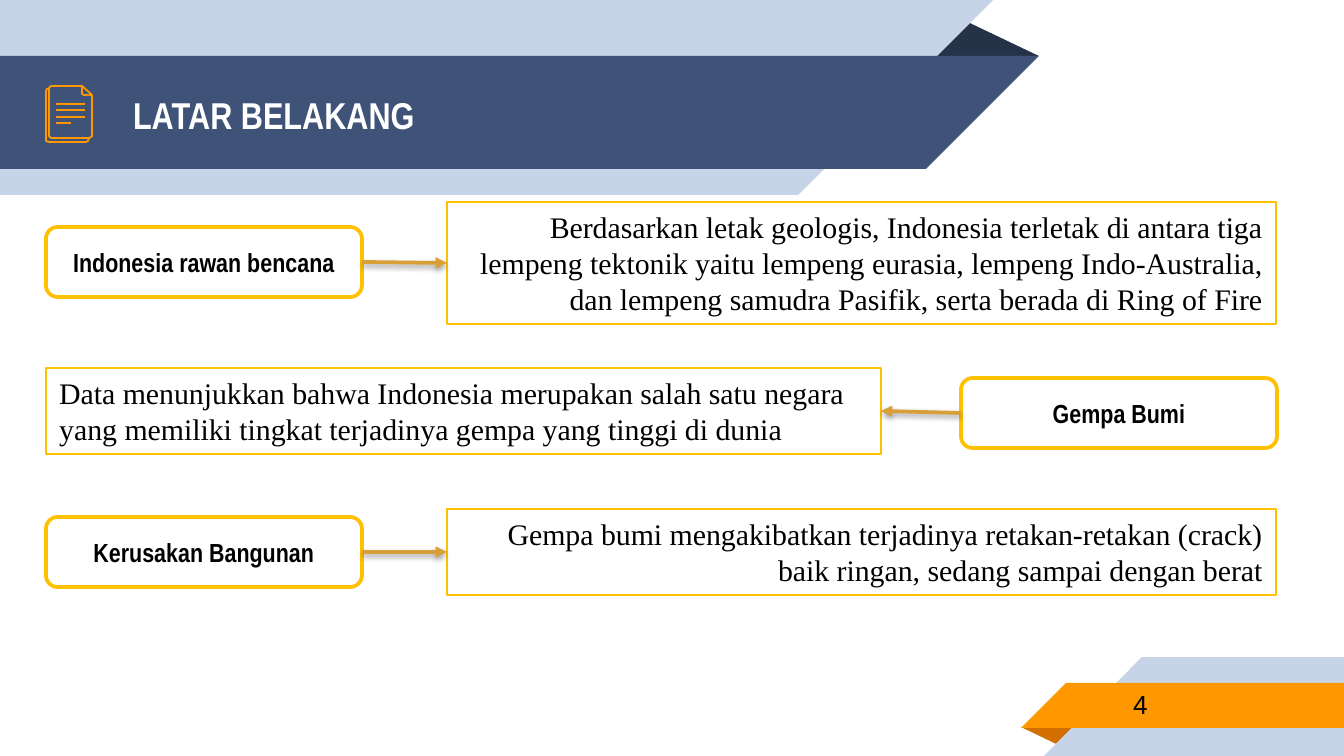
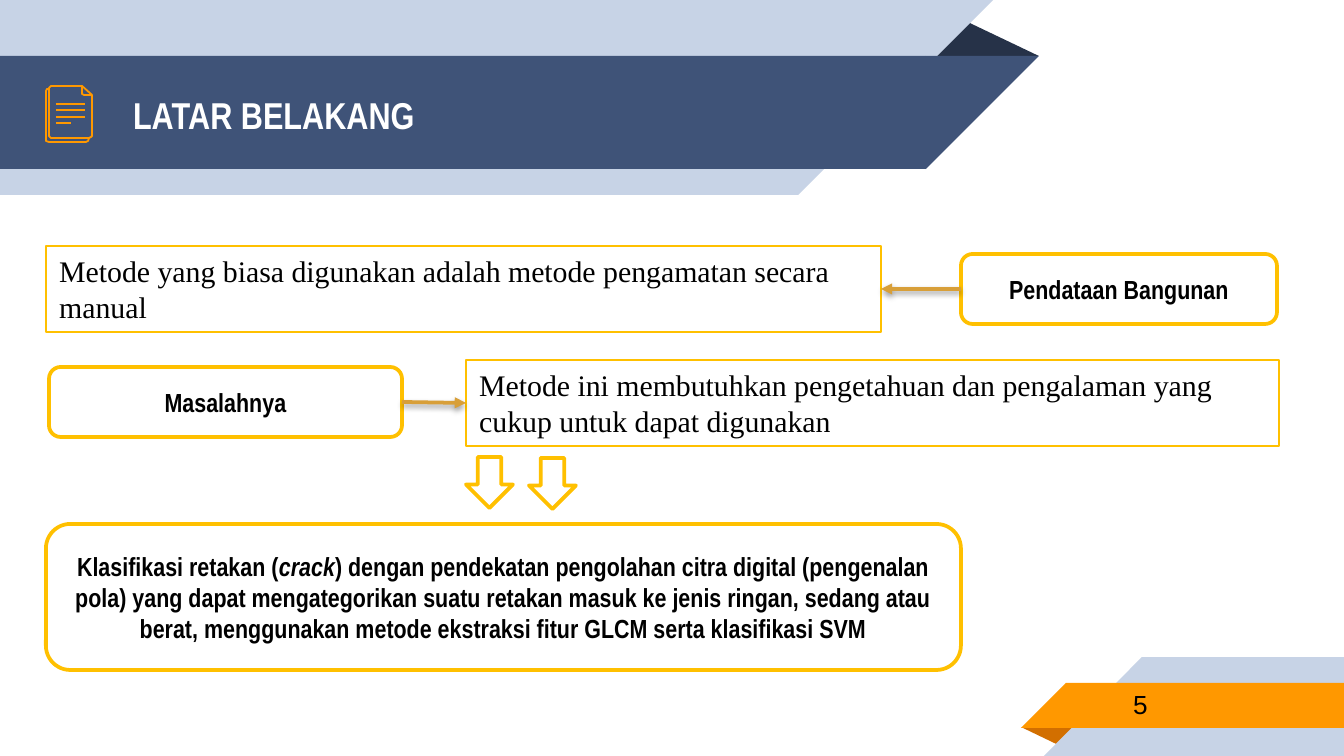
from dataclasses import dataclass

import pptx
import pptx.dml.color
import pptx.enum.shapes
import pptx.enum.text
import pptx.oxml
import pptx.oxml.ns
import pptx.util


@dataclass(frozen=True)
class Theme:
    pale: str = "C7D3E6"
    navy: str = "3F5378"
    dark: str = "263248"
    orange: str = "FF9800"
    rust: str = "D26F00"
    gold: str = "FFC000"
    arrow: str = "D89F39"
    white: str = "FFFFFF"
    black: str = "000000"
    icon_line: float = 0.96
    thin_line: float = 0.75
    thick_line: float = 2
    title_size: int = 20
    label_size: int = 14
    note_size: int = 16
    number_size: int = 14
    heading_font: str = "Arial Narrow"
    note_font: str = "Times New Roman"
    number_font: str = "Arial"


theme = Theme()
SLIDE_WIDTH, SLIDE_HEIGHT = 1344, 756
EMU_PER_PX = 9144000 / SLIDE_WIDTH
PRESET = pptx.enum.shapes.MSO_SHAPE
STRAIGHT = pptx.enum.shapes.MSO_CONNECTOR.STRAIGHT
ALIGN = pptx.enum.text.PP_ALIGN
ANCHOR = pptx.enum.text.MSO_ANCHOR
AUTO_SIZE = pptx.enum.text.MSO_AUTO_SIZE
RGB = pptx.dml.color.RGBColor.from_string
NAMESPACE = pptx.oxml.ns.nsdecls("a")


def px(*lengths):
    return [pptx.util.Emu(round(length * EMU_PER_PX)) for length in lengths]


def paint(shape, line, width, fill=None):
    shape.shadow.inherit = False
    if fill:
        shape.fill.solid()
        shape.fill.fore_color.rgb = RGB(fill)
    else:
        shape.fill.background()
    if line:
        shape.line.color.rgb = RGB(line)
        shape.line.width = pptx.util.Pt(width)
    else:
        shape.line.fill.background()


TEXT_STYLES = {
    "title": (theme.heading_font, theme.title_size, theme.white, True, ANCHOR.MIDDLE),
    "label": (theme.heading_font, theme.label_size, theme.black, True, ANCHOR.MIDDLE),
    "note": (theme.note_font, theme.note_size, theme.black, False, ANCHOR.TOP),
    "number": (theme.number_font, theme.number_size, theme.black, False, ANCHOR.MIDDLE),
}

HEADER_BANDS = [
    (PRESET.ISOSCELES_TRIANGLE, (925, 19, 114, 37), theme.dark, 0, False),
    (PRESET.RECTANGLE, (0, 0, 798, 195), theme.pale, 0, False),
    (PRESET.RIGHT_TRIANGLE, (798, 0, 195, 195), theme.pale, 180, True),
    (PRESET.RECTANGLE, (0, 56, 926, 113), theme.navy, 0, False),
    (PRESET.RIGHT_TRIANGLE, (926, 56, 113, 113), theme.navy, 180, True),
]
FOOTER_BANDS = [
    (PRESET.ISOSCELES_TRIANGLE, (1021, 727, 58, 19), theme.rust, 180, False),
    (PRESET.RECTANGLE, (1142, 657, 202, 99), theme.pale, 0, False),
    (PRESET.RIGHT_TRIANGLE, (1044, 657, 98, 99), theme.pale, 0, True),
    (PRESET.RECTANGLE, (1066, 683, 278, 45), theme.orange, 0, False),
    (PRESET.RIGHT_TRIANGLE, (1021, 683, 45, 45), theme.orange, 0, True),
]

ICON_OUTLINES = [
    ([(89, 138), (88, 141), (86, 142), (49, 142), (46, 141), (46, 138),
      (46, 91), (47, 89), (49, 89)], False),
    ([(92, 95), (92, 136), (91, 137), (89, 138), (51, 138), (50, 137),
      (49, 136), (49, 88), (50, 87), (51, 86), (82, 86)], False),
    ([(82, 94), (82, 86), (92, 95), (84, 95)], True),
]
ICON_RULES = [(104, 85), (110, 85), (117, 85), (123, 71)]

SLIDES = [
    {
        "number": 4,
        "rows": [
            ("Indonesia rawan bencana", (46, 227, 316, 70),
             "Berdasarkan letak geologis, Indonesia terletak di antara tiga lempeng "
             "tektonik yaitu lempeng eurasia, lempeng Indo-Australia, dan lempeng "
             "samudra Pasifik, serta berada di Ring of Fire",
             (447, 202, 829, 122), ALIGN.RIGHT),
            ("Gempa Bumi", (961, 378, 316, 70),
             "Data menunjukkan bahwa Indonesia merupakan salah satu negara yang "
             "memiliki tingkat terjadinya gempa yang tinggi di dunia",
             (46, 368, 835, 86), ALIGN.LEFT),
            ("Kerusakan Bangunan", (46, 517, 316, 70),
             "Gempa bumi mengakibatkan terjadinya retakan-retakan (crack) baik "
             "ringan, sedang sampai dengan berat",
             (447, 509, 829, 86), ALIGN.RIGHT),
        ],
        "down_arrows": [],
        "conclusion": [],
    },
    {
        "number": 5,
        "rows": [
            ("Pendataan Bangunan", (961, 254, 316, 70),
             "Metode yang biasa digunakan adalah metode pengamatan secara manual",
             (46, 246, 835, 86), ALIGN.LEFT),
            ("Masalahnya", (49, 367, 353, 70),
             "Metode ini membutuhkan pengetahuan dan pengalaman yang cukup untuk "
             "dapat digunakan",
             (466, 360, 813, 86), ALIGN.LEFT),
        ],
        "down_arrows": [(466, 457, 47, 51), (529, 458, 47, 51)],
        "conclusion": [
            "Klasifikasi retakan (",
            "crack",
            ") dengan pendekatan pengolahan citra digital (pengenalan pola) yang "
            "dapat mengategorikan suatu retakan masuk ke jenis ringan, sedang atau "
            "berat, menggunakan metode ekstraksi fitur GLCM serta klasifikasi SVM",
        ],
    },
]

presentation = pptx.Presentation()
presentation.slide_width, presentation.slide_height = px(SLIDE_WIDTH, SLIDE_HEIGHT)
layout = presentation.slide_layouts[5]
slides = [presentation.slides.add_slide(layout) for content in SLIDES]

for bands in (HEADER_BANDS, FOOTER_BANDS):
    group = slides[0].shapes.add_group_shape()
    for preset, box, color, rotation, flipped in bands:
        band = group.shapes.add_shape(preset, *px(*box))
        paint(band, None, 0, color)
        band.rotation = rotation
        if flipped:
            band.element.spPr.find(pptx.oxml.ns.qn("a:xfrm")).set("flipH", "1")
        if preset == PRESET.ISOSCELES_TRIANGLE:
            band.adjustments[0] = 0.32
    layout.shapes.element.append(group.element)
for index, properties in enumerate(
        layout.shapes.element.iter(pptx.oxml.ns.qn("p:cNvPr")), start=1):
    properties.set("id", str(index))

for slide, content in zip(slides, SLIDES):
    title = slide.shapes.title
    title.left, title.top, title.width, title.height = px(120, 58, 773, 113)
    texts = [(title, "title", ALIGN.LEFT, ["LATAR BELAKANG"])]

    icon = slide.shapes.add_group_shape()
    for points, closed in ICON_OUTLINES:
        builder = icon.shapes.build_freeform(*points[0], scale=EMU_PER_PX)
        builder.add_line_segments(points[1:], close=closed)
        paint(builder.convert_to_shape(), theme.orange, theme.icon_line)
    for top, right in ICON_RULES:
        rule = icon.shapes.add_connector(STRAIGHT, *px(56, top, right, top))
        rule.line.color.rgb = RGB(theme.orange)
        rule.line.width = pptx.util.Pt(theme.icon_line)
        rule.element.spPr.append(pptx.oxml.parse_xml(f"<a:effectLst {NAMESPACE}/>"))

    for label_text, label_box, note_text, note_box, alignment in content["rows"]:
        label = slide.shapes.add_shape(PRESET.ROUNDED_RECTANGLE, *px(*label_box))
        paint(label, theme.gold, theme.thick_line)
        note = slide.shapes.add_shape(PRESET.RECTANGLE, *px(*note_box))
        paint(note, theme.gold, theme.thin_line)
        texts.append((label, "label", ALIGN.CENTER, [label_text]))
        texts.append((note, "note", alignment, [note_text]))

        start_site, end_site = (3, 1) if label.left < note.left else (1, 3)
        arrow = slide.shapes.add_connector(STRAIGHT, 0, 0, 0, 0)
        arrow.begin_connect(label, start_site)
        arrow.end_connect(note, end_site)
        arrow.line.color.rgb = RGB(theme.arrow)
        arrow.line.width = pptx.util.Pt(theme.thick_line)
        arrow.line.fill.solid()
        arrow.line.color.rgb = RGB(theme.arrow)
        arrow.element.spPr.find(pptx.oxml.ns.qn("a:ln")).append(
            pptx.oxml.parse_xml(f'<a:tailEnd {NAMESPACE} type="triangle"/>'))
        arrow.element.spPr.append(pptx.oxml.parse_xml(
            f'<a:effectLst {NAMESPACE}><a:outerShdw blurRad="40000" dist="20000" '
            'dir="5400000" rotWithShape="0"><a:srgbClr val="000000">'
            '<a:alpha val="38000"/></a:srgbClr></a:outerShdw></a:effectLst>'))

    for box in content["down_arrows"]:
        paint(slide.shapes.add_shape(PRESET.DOWN_ARROW, *px(*box)),
              theme.gold, theme.thick_line)
    if content["conclusion"]:
        conclusion = slide.shapes.add_shape(
            PRESET.ROUNDED_RECTANGLE, *px(46, 524, 915, 146))
        paint(conclusion, theme.gold, theme.thick_line)
        texts.append((conclusion, "label", ALIGN.CENTER, content["conclusion"]))

    number = slide.shapes.add_textbox(*px(1120, 681, 219, 47))
    texts.append((number, "number", ALIGN.LEFT, [str(content["number"])]))

    for shape, style, alignment, pieces in texts:
        font_name, size, color, bold, anchor = TEXT_STYLES[style]
        frame = shape.text_frame
        frame.word_wrap = True
        frame.vertical_anchor = anchor
        frame.auto_size = AUTO_SIZE.SHAPE_TO_FIT_TEXT if style == "note" else AUTO_SIZE.NONE
        if style in ("title", "number"):
            frame.margin_left, frame.margin_top = px(13, 13)
            frame.margin_right, frame.margin_bottom = px(13, 13)
        paragraph = frame.paragraphs[0]
        paragraph.alignment = alignment
        for piece in pieces:
            run = paragraph.add_run()
            run.text = piece
            run.font.name = font_name
            run.font.size = pptx.util.Pt(size)
            run.font.bold = bold
            run.font.italic = piece == "crack"
            run.font.color.rgb = RGB(color)

presentation.save("out.pptx")
